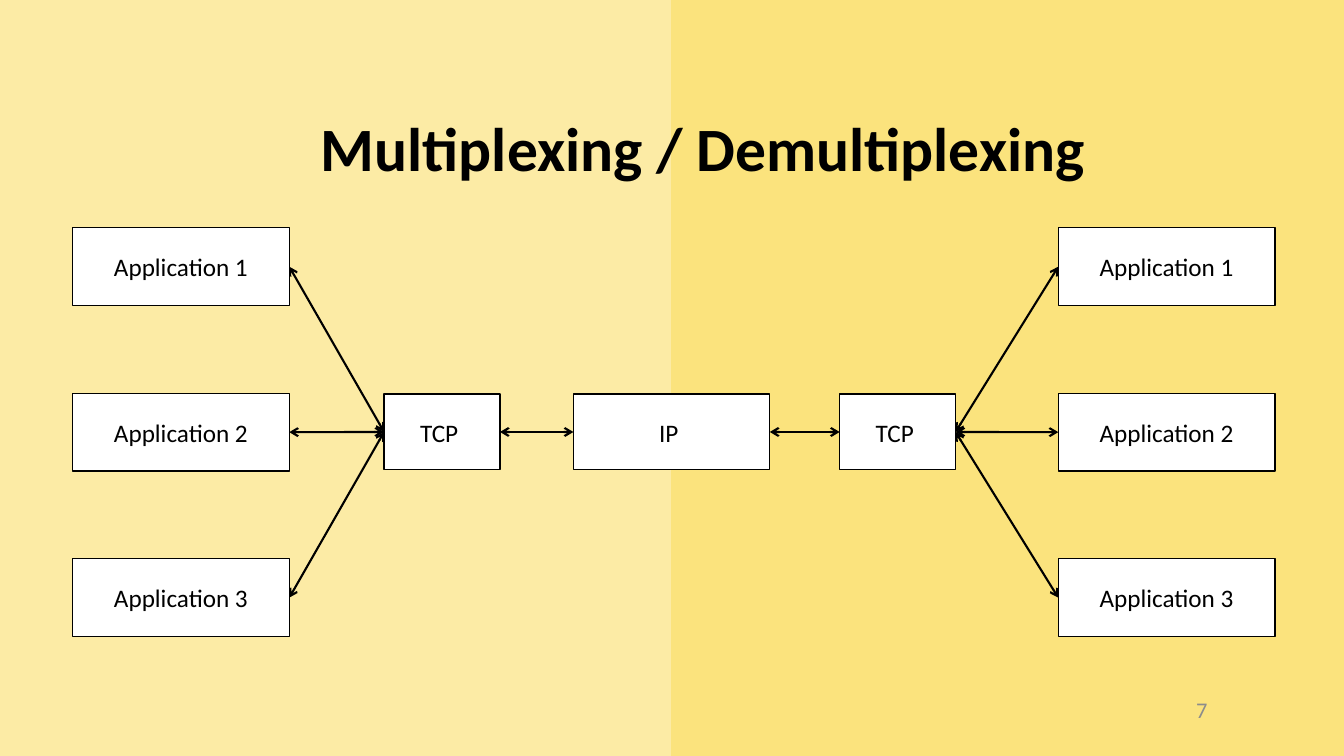
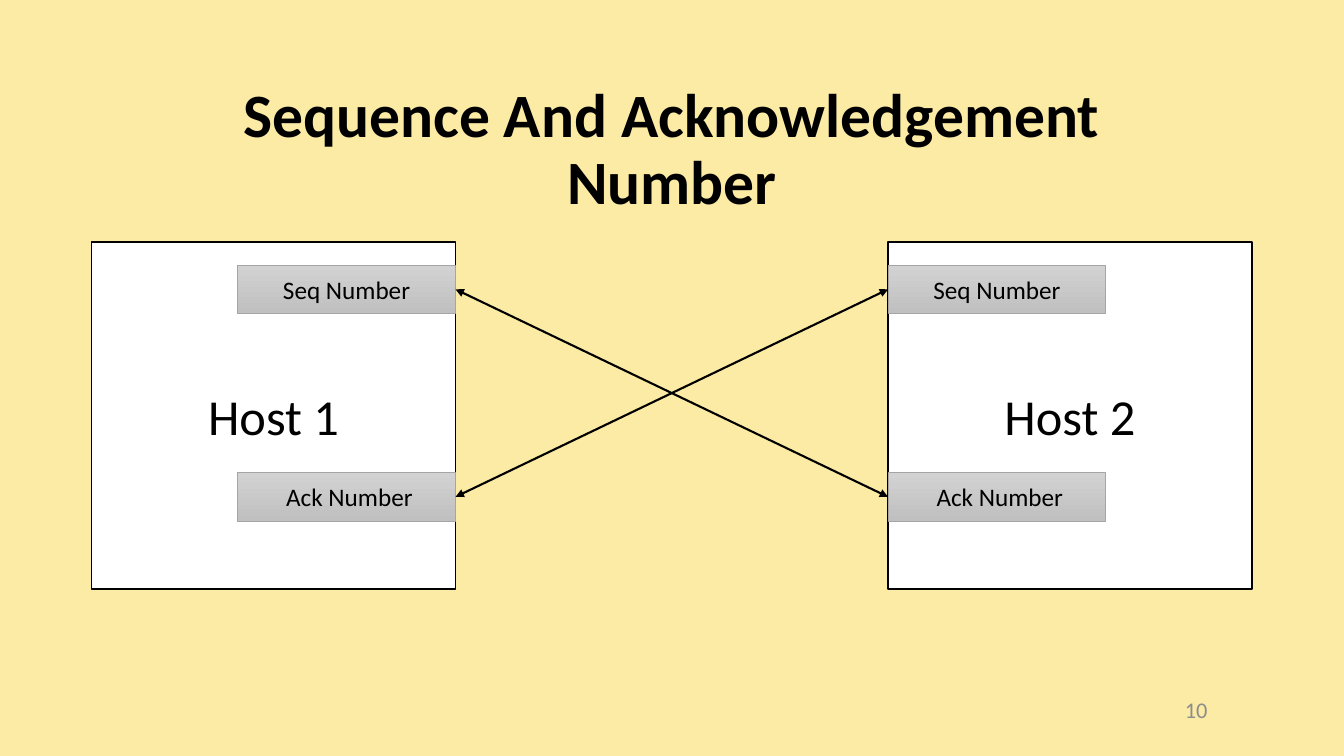
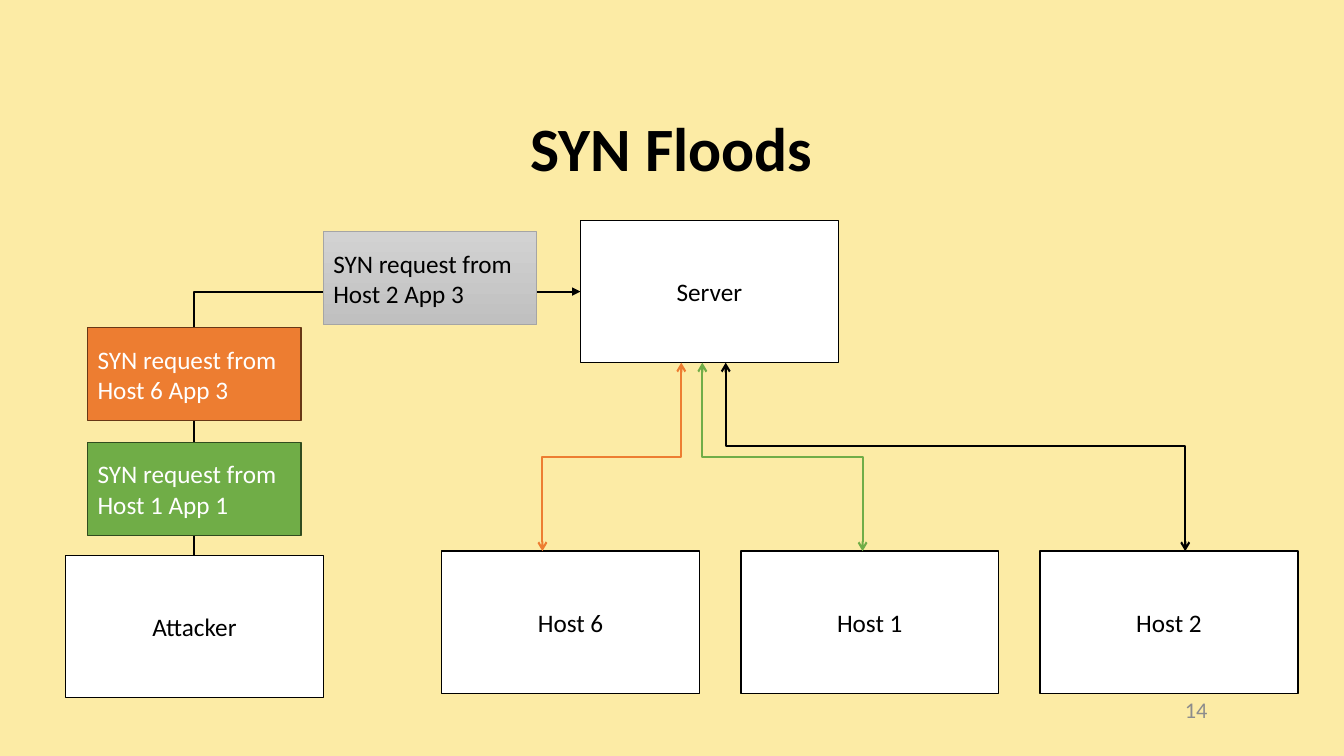
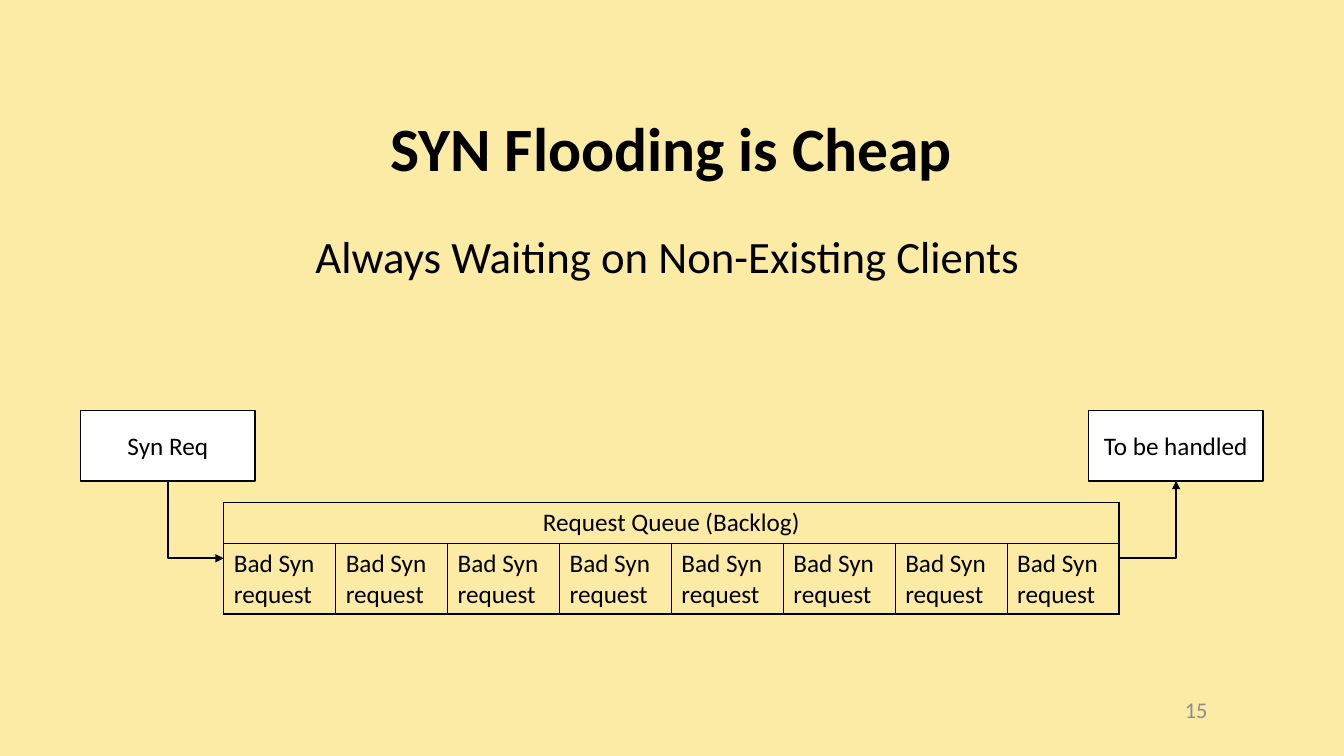
from dataclasses import dataclass
from typing import Any, Optional

from lxml.etree import SubElement
from pptx import Presentation
from pptx.dml.color import RGBColor
from pptx.enum.shapes import MSO_CONNECTOR, MSO_SHAPE
from pptx.enum.text import MSO_ANCHOR, MSO_AUTO_SIZE, PP_ALIGN
from pptx.oxml.ns import qn
from pptx.shapes.autoshape import Shape
from pptx.shapes.connector import Connector
from pptx.slide import Slide
from pptx.table import _Cell
from pptx.text.text import TextFrame
from pptx.util import Cm, Pt

BLACK = RGBColor(0x00, 0x00, 0x00)
WHITE = RGBColor(0xFF, 0xFF, 0xFF)
CREAM = RGBColor(0xFC, 0xEB, 0xA5)
YELLOW = RGBColor(0xFB, 0xE3, 0x7D)
NUMBER_GRAY = RGBColor(0x8C, 0x8C, 0x8C)
LIGHT_GRAY = RGBColor(0xD2, 0xD2, 0xD2)
MID_GRAY = RGBColor(0xC0, 0xC0, 0xC0)
BORDER_GRAY = RGBColor(0xA5, 0xA5, 0xA5)
GREEN = RGBColor(0x70, 0xAD, 0x47)
DARK_GREEN = RGBColor(0x31, 0x4C, 0x1F)
ORANGE = RGBColor(0xED, 0x7D, 0x31)
DARK_ORANGE = RGBColor(0x68, 0x37, 0x15)

FONT = "Calibri"
SLIDE_WIDTH, SLIDE_HEIGHT = 33.87, 19.05
RIGHT, LEFT = 3, 1


@dataclass(frozen=True)
class Look:
    """Colours and border of a box."""

    fill: RGBColor = WHITE
    border: RGBColor = BLACK
    text: RGBColor = BLACK
    border_width: float = 1
    fade_to: Optional[RGBColor] = None


@dataclass(frozen=True)
class Box:
    """A rectangle with text; lengths in centimetres."""

    text: str
    left: float
    top: float
    size: tuple[float, float]
    look: Look = Look()
    font_size: float = 18
    alignment: PP_ALIGN = PP_ALIGN.CENTER


@dataclass(frozen=True)
class Elbow:
    """A bent arrow; bend is None for a single corner."""

    start: tuple[float, float]
    end: tuple[float, float]
    color: RGBColor = BLACK
    bend: Optional[float] = None
    head: Optional[str] = None
    tail: str = "triangle"
    vertical_first: bool = True


PLAIN = Look()
GRAY_LOOK = Look(LIGHT_GRAY, BORDER_GRAY, BLACK, 0.5, MID_GRAY)
GREEN_LOOK = Look(GREEN, DARK_GREEN, WHITE)
ORANGE_LOOK = Look(ORANGE, DARK_ORANGE, WHITE)


def set_values(target: Any, values: dict[str, Any]) -> None:
    """Set each named attribute of the target."""
    for name, value in values.items():
        setattr(target, name, value)


def write_text(frame: TextFrame, text: str, size: float, color: RGBColor = BLACK,
               alignment: PP_ALIGN = PP_ALIGN.LEFT, bold: bool = False) -> None:
    """Fill a text frame with formatted text."""
    frame.text = text
    for paragraph in frame.paragraphs:
        paragraph.alignment = alignment
        for run in paragraph.runs:
            set_values(run.font, {"name": FONT, "size": Pt(size), "bold": bold})
            run.font.color.rgb = color


def add_text(slide: Slide, text: str, area: tuple[float, float, float, float], size: float,
             color: RGBColor = BLACK, alignment: PP_ALIGN = PP_ALIGN.LEFT,
             anchor: MSO_ANCHOR = MSO_ANCHOR.TOP) -> None:
    """Add a wrapping text box."""
    frame = slide.shapes.add_textbox(*map(Cm, area)).text_frame
    set_values(frame, {"word_wrap": True, "vertical_anchor": anchor})
    write_text(frame, text, size, color, alignment)


def add_slide(presentation: Presentation, title: str, number: int,
              left: float = 4.23, width: float = 25.4) -> Slide:
    """Add a slide with its title and number."""
    slide = presentation.slides.add_slide(presentation.slide_layouts[5])
    shape = slide.shapes.title
    set_values(shape, {"left": Cm(left), "top": Cm(2.64), "width": Cm(width), "height": Cm(2.34)})
    set_values(shape.text_frame, {"word_wrap": True, "auto_size": MSO_AUTO_SIZE.NONE,
                                  "vertical_anchor": MSO_ANCHOR.MIDDLE})
    write_text(shape.text_frame, title, 44, alignment=PP_ALIGN.CENTER, bold=True)
    shape.text_frame.paragraphs[0].line_spacing = 0.9
    add_text(slide, str(number), (23.06, 17.37, 7.62, 1.02), 16, NUMBER_GRAY,
             PP_ALIGN.RIGHT, MSO_ANCHOR.MIDDLE)
    return slide


def add_box(slide: Slide, box: Box) -> Shape:
    """Draw a box with its text."""
    shape = slide.shapes.add_shape(MSO_SHAPE.RECTANGLE, Cm(box.left), Cm(box.top), *map(Cm, box.size))
    shape.shadow.inherit = False
    look = box.look
    if look.fade_to is None:
        shape.fill.solid()
        shape.fill.fore_color.rgb = look.fill
    else:
        shape.fill.gradient()
        shape.fill.gradient_angle = 270
        for stop, color in zip(shape.fill.gradient_stops, (look.fill, look.fade_to)):
            stop.color.rgb = color
    shape.line.color.rgb = look.border
    shape.line.width = Pt(look.border_width)
    set_values(shape.text_frame, {"word_wrap": True, "vertical_anchor": MSO_ANCHOR.MIDDLE})
    write_text(shape.text_frame, box.text, box.font_size, look.text, box.alignment)
    return shape


def style_connector(connector: Connector, color: RGBColor, head: Optional[str], tail: str) -> None:
    """Set line and arrowheads and drop the shadow."""
    connector.line.color.rgb = color
    connector.line.width = Pt(1.5)
    line = connector.line._get_or_add_ln()
    for tag, kind in (("a:headEnd", head), ("a:tailEnd", tail)):
        if kind:
            SubElement(line, qn(tag), type=kind)
    SubElement(connector.element.spPr, qn("a:effectLst"))


def join(slide: Slide, first: Shape, first_side: int, second: Shape, second_side: int,
         arrow: str) -> None:
    """Join two boxes with a straight double arrow."""
    connector = slide.shapes.add_connector(MSO_CONNECTOR.STRAIGHT, 0, 0, 0, 0)
    connector.begin_connect(first, first_side)
    connector.end_connect(second, second_side)
    style_connector(connector, BLACK, arrow, arrow)


def add_elbow(slide: Slide, elbow: Elbow) -> None:
    """Draw a bent arrow that runs to the right."""
    (x1, y1), (x2, y2) = elbow.start, elbow.end
    connector = slide.shapes.add_connector(MSO_CONNECTOR.ELBOW, *map(Cm, (x1, y1, x2, y2)))
    properties = connector.element.spPr
    if elbow.vertical_first:
        width, height = abs(y2 - y1), x2 - x1
        set_values(connector, {"left": Cm((x1 + x2 - width) / 2), "top": Cm((y1 + y2 - height) / 2),
                               "width": Cm(width), "height": Cm(height)})
        upward = y2 < y1
        transform = properties.find(qn("a:xfrm"))
        transform.set("rot", str((90 if upward else 270) * 60000))
        transform.set("flipH", "1")
        transform.set("flipV", "1" if upward else "0")
    geometry = properties.find(qn("a:prstGeom"))
    if elbow.bend is None:
        geometry.set("prst", "bentConnector2")
    else:
        SubElement(geometry.find(qn("a:avLst")), qn("a:gd"), name="adj1",
                   fmla=f"val {round(elbow.bend * 100000)}")
    style_connector(connector, elbow.color, elbow.head, elbow.tail)


def style_cell(cell: _Cell, text: str, alignment: PP_ALIGN) -> None:
    """Give a cell black borders, no fill and its text."""
    properties = cell._tc.get_or_add_tcPr()
    for side in ("L", "R", "T", "B"):
        line = SubElement(properties, qn(f"a:ln{side}"), w=str(Pt(1)))
        SubElement(SubElement(line, qn("a:solidFill")), qn("a:srgbClr"), val=str(BLACK))
    cell.fill.background()
    write_text(cell.text_frame, text, 18, alignment=alignment)


def build_multiplexing(presentation: Presentation) -> None:
    """Build the multiplexing slide."""
    slide = add_slide(presentation, "Multiplexing / Demultiplexing", 7, left=5.03)
    half = SLIDE_WIDTH / 2
    panel = add_box(slide, Box("", half, 0, (half, SLIDE_HEIGHT), Look(YELLOW, YELLOW)))
    slide.shapes.title.element.addprevious(panel.element)
    internet = add_box(slide, Box("IP ", 14.45, 9.93, (4.95, 1.91)))
    for application_left, tcp_left, outer, inner in ((1.83, 9.68, RIGHT, LEFT),
                                                     (26.67, 21.16, LEFT, RIGHT)):
        tcp = add_box(slide, Box("TCP ", tcp_left, 9.93, (2.92, 1.91)))
        for index in range(3):
            application = add_box(slide, Box(f"Application {index + 1}", application_left,
                                             5.74 + 4.17 * index, (5.46, 1.96)))
            join(slide, application, outer, tcp, inner, "arrow")
        join(slide, tcp, outer, internet, inner, "arrow")


def build_numbers(presentation: Presentation) -> None:
    """Build the sequence and acknowledgement slide."""
    slide = add_slide(presentation, "Sequence And Acknowledgement Number", 10, 3.18, 27.51)
    host_width, label_width = 9.17, 5.49
    labels = []
    for name, host_left, offset in (("Host 1", 2.31, host_width - label_width), ("Host 2", 22.38, 0)):
        add_box(slide, Box(name, host_left, 6.1, (host_width, 8.74), font_size=36))
        labels.append([add_box(slide, Box(text, host_left + offset, top, (label_width, 1.22), GRAY_LOOK))
                       for text, top in (("Seq Number", 6.68), (" Ack Number", 11.91))])
    for first, second in zip(labels[0], reversed(labels[1])):
        join(slide, first, RIGHT, second, LEFT, "triangle")


def build_floods(presentation: Presentation) -> None:
    """Build the SYN floods slide."""
    slide = add_slide(presentation, "SYN Floods", 14)
    host_top, server_bottom = 13.89, 9.14
    add_elbow(slide, Elbow((4.9, 14), (14.63, 7.35)))
    machines = [("Attacker", 1.65, 14), ("Server", 14.63, 5.56)]
    machines += [(name, 11.13 + 7.54 * index, host_top)
                 for index, name in enumerate(("Host 6", "Host 1", "Host 2"))]
    for name, left, top in machines:
        add_box(slide, Box(name, left, top, (6.5, 3.58)))
    for source, left, top, look in (("Host 1 App 1", 2.21, 11.15, GREEN_LOOK),
                                    ("Host 2 App 3", 8.15, 5.84, GRAY_LOOK),
                                    ("Host 6 App 3", 2.21, 8.26, ORANGE_LOOK)):
        add_box(slide, Box(f"SYN request from\n{source}", left, top, (5.38, 2.34), look,
                           alignment=PP_ALIGN.LEFT))
    for start, end, color, bend in (
        ((18.29, server_bottom), (29.87, host_top), BLACK, 0.44),
        ((17.7, server_bottom), (21.74, host_top), GREEN, 0.5),
        ((13.67, host_top), (17.17, server_bottom), ORANGE, 0.5),
    ):
        add_elbow(slide, Elbow(start, end, color, bend, "arrow", "arrow"))


def build_backlog(presentation: Presentation) -> None:
    """Build the request queue slide."""
    slide = add_slide(presentation, "SYN Flooding is Cheap", 15)
    add_text(slide, "Always Waiting on Non-Existing Clients", (7.7, 5.64, 18.47, 4.37), 32)
    count, column_width = 8, 2.82
    table = slide.shapes.add_table(2, count, Cm(5.64), Cm(12.67),
                                   Cm(count * column_width), Cm(2.8)).table
    set_values(table, {"first_row": False, "horz_banding": False})
    for row, height in zip(table.rows, (1.02, 1.78)):
        row.height = Cm(height)
    for index, column in enumerate(table.columns):
        column.width = Cm(column_width)
        style_cell(table.cell(0, index), "" if index else "Request Queue (Backlog)", PP_ALIGN.CENTER)
        style_cell(table.cell(1, index), "Bad Syn request", PP_ALIGN.LEFT)
    table.cell(0, 0).merge(table.cell(0, count - 1))
    for text, left in (("Syn Req", 2.03), ("To be handled", 27.43)):
        add_box(slide, Box(text, left, 10.34, (4.4, 1.78)))
    add_elbow(slide, Elbow((4.24, 12.12), (5.64, 14.07)))
    add_elbow(slide, Elbow((28.22, 14.07), (29.64, 12.12), vertical_first=False))


def main() -> None:
    """Build and save the presentation."""
    presentation = Presentation()
    set_values(presentation, {"slide_width": Cm(SLIDE_WIDTH), "slide_height": Cm(SLIDE_HEIGHT)})
    background = presentation.slide_master.background.fill
    background.solid()
    background.fore_color.rgb = CREAM
    for build in (build_multiplexing, build_numbers, build_floods, build_backlog):
        build(presentation)
    presentation.save("out.pptx")


if __name__ == "__main__":
    main()
